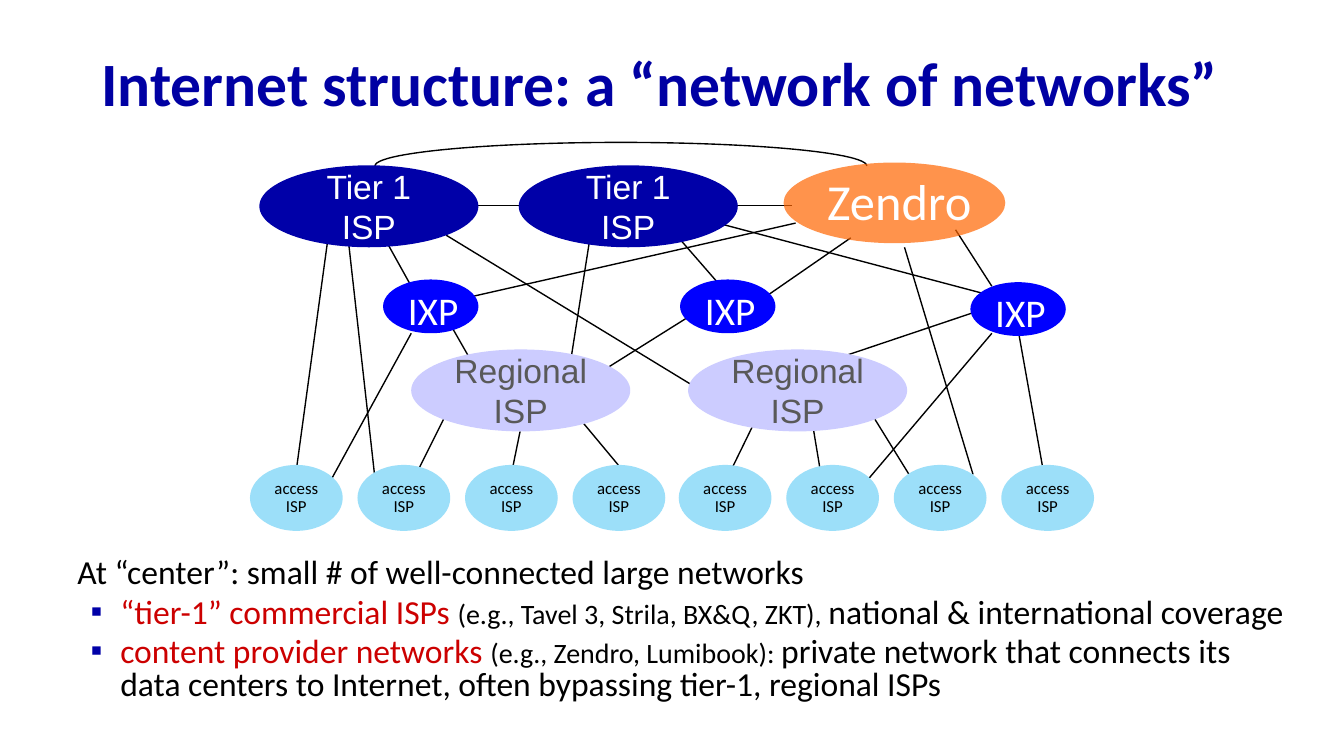
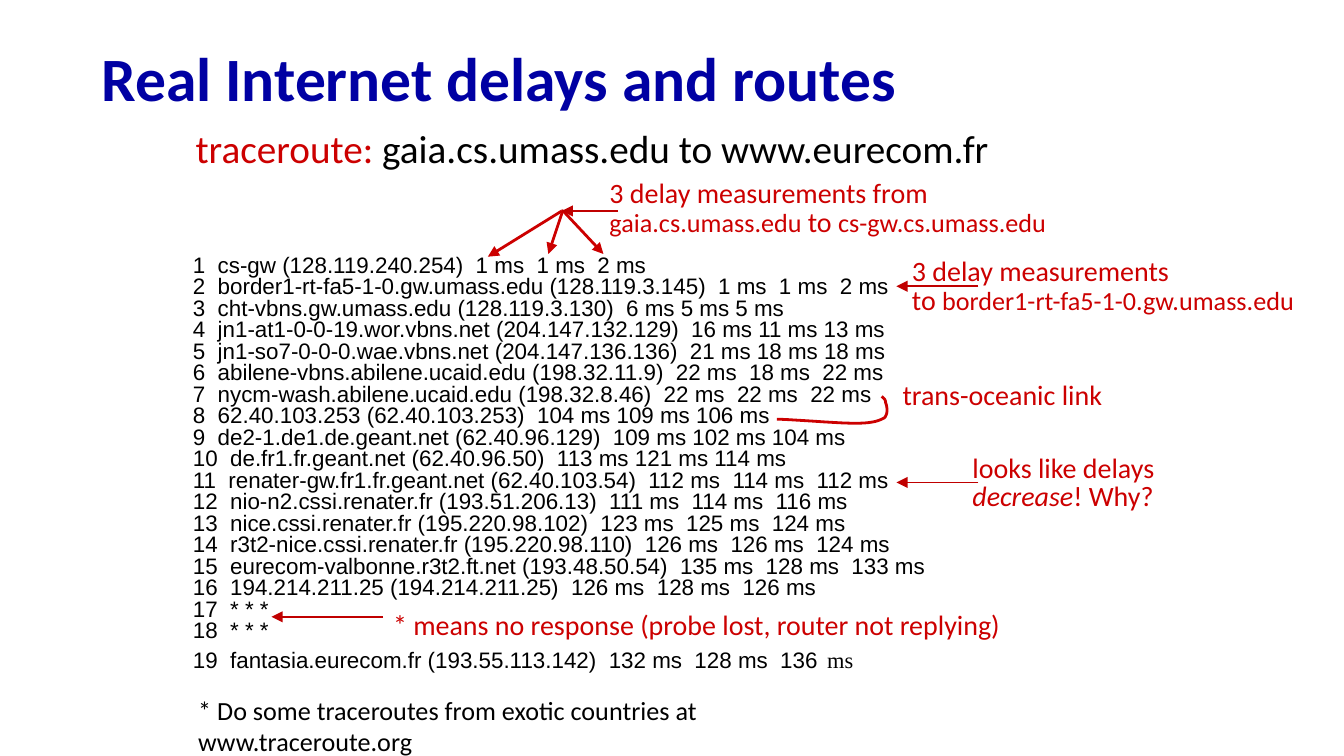
from lxml.etree import SubElement
from pptx import Presentation
from pptx.dml.color import RGBColor
from pptx.enum.shapes import MSO_CONNECTOR, MSO_SHAPE
from pptx.enum.text import MSO_ANCHOR, PP_ALIGN
from pptx.oxml.ns import qn
from pptx.util import Pt

PX = 9144  # EMU per px, 100 px to the inch
SLIDE_WIDTH = 1000
INSET_SIDE, INSET_TOP = Pt(5.4), Pt(2.7)

COLORS = {
    "title": "0000A3", "navy": "0000A8", "blue": "0000FF", "lavender": "CCCCFF",
    "sky": "9CDFF9", "orange": "FF6600", "red": "CC0000", "arrow": "C00000",
    "gray": "595959", "black": "000000", "white": "FFFFFF",
}


def style(size, color="black", name="Calibri", **extra):
    return {"color": color, "format": {"name": name, "size": Pt(size), **extra}}


STYLES = {
    "title": style(33, "title", bold=True),
    "tier": style(18, "white", "Arial"),
    "regional": style(18, "gray", "Arial"),
    "access": style(9),
    "exchange": style(21, "white"),
    "provider": style(27, "white"),
    "body": style(18),
    "term": style(18, "red"),
    "aside": style(15),
    "command": style(21, "red"),
    "route": style(21),
    "hop": style(12, name="Arial"),
    "gap": style(18, name="Times New Roman"),
    "unit": style(12, name="Times New Roman"),
    "note": style(15, "red"),
    "host": style(14, "red"),
    "stress": style(15, "red", italic=True),
    "footnote": style(14),
}

# ---- Slide 1: network of networks ----
STRUCTURE_TITLE = "Internet structure: a “network of networks”"
ISP_SIZE, ACCESS_SIZE, EXCHANGE_SIZE = (163, 61), (69, 49), (71, 40)
ACCESS_COUNT, ACCESS_FIRST, ACCESS_LAST, ACCESS_TOP = 8, 186, 745, 346
ACCESS_SPOTS = [
    (round(ACCESS_FIRST + i * (ACCESS_LAST - ACCESS_FIRST) / (ACCESS_COUNT - 1)), ACCESS_TOP)
    for i in range(ACCESS_COUNT)
]
# (spots, size, fill, text style, lines, line spacing)
NETWORKS = [
    ([(193, 123), (386, 123)], ISP_SIZE, "navy", "tier", ["Tier 1 ISP"], None),
    ([(306, 260), (512, 260)], ISP_SIZE, "lavender", "regional", ["Regional ISP"], None),
    (ACCESS_SPOTS, ACCESS_SIZE, "sky", "access", ["access", "ISP"], 0.9),
]
EXCHANGES = [(285, 208), (506, 208), (722, 210)]
PROVIDER = {"name": "Zendro", "oval": (583, 121, 165, 60), "label": (608, 123, 124, 53)}
PEERING_ARC = (279, 106, 366, 35)
PEERING_ARC_START = 106.82
LINKS = [
    (246, 163, 221, 346), (387, 321, 379, 360), (330, 312, 306, 360),
    (259, 177, 280, 365), (306, 248, 242, 365), (425, 304, 460, 346),
    (562, 313, 539, 360), (605, 318, 612, 360), (651, 312, 685, 367),
    (673, 184, 724, 353), (396, 153, 352, 153), (589, 153, 545, 153),
    (711, 171, 738, 213), (286, 177, 306, 213), (332, 236, 352, 271),
    (592, 166, 332, 225), (505, 177, 539, 216), (439, 177, 425, 266),
    (512, 236, 445, 278), (332, 175, 519, 289), (758, 248, 778, 360),
    (738, 248, 638, 366), (732, 230, 625, 266), (633, 177, 565, 224),
    (534, 166, 734, 219),
]
CENTER_BOX = (44, 412, 925, 150)
CENTER_TEXT = [
    [("At “center”: small # of well-connected large networks", "body")],
    [("“tier-1” commercial ISPs ", "term"),
     ("(e.g., Tavel 3, Strila, BX&Q, ZKT), ", "aside"),
     ("national & international coverage", "body")],
    [("content provider networks ", "term"),
     ("(e.g., Zendro, Lumibook): ", "aside"),
     ("private network that connects its data centers to Internet, "
      "often bypassing tier-1, regional ISPs", "body")],
]

# ---- Slide 2: delays and routes ----
DELAYS_TITLE = "Real Internet delays and routes"
HOPS_BOX = (136, 187, 675, 323)
HOPS = [
    "cs-gw (128.119.240.254)  1 ms  1 ms  2 ms",
    "border1-rt-fa5-1-0.gw.umass.edu (128.119.3.145)  1 ms  1 ms  2 ms",
    "cht-vbns.gw.umass.edu (128.119.3.130)  6 ms 5 ms 5 ms",
    "jn1-at1-0-0-19.wor.vbns.net (204.147.132.129)  16 ms 11 ms 13 ms",
    "jn1-so7-0-0-0.wae.vbns.net (204.147.136.136)  21 ms 18 ms 18 ms",
    "abilene-vbns.abilene.ucaid.edu (198.32.11.9)  22 ms  18 ms  22 ms",
    "nycm-wash.abilene.ucaid.edu (198.32.8.46)  22 ms  22 ms  22 ms",
    "62.40.103.253 (62.40.103.253)  104 ms 109 ms 106 ms",
    "de2-1.de1.de.geant.net (62.40.96.129)  109 ms 102 ms 104 ms",
    "de.fr1.fr.geant.net (62.40.96.50)  113 ms 121 ms 114 ms",
    "renater-gw.fr1.fr.geant.net (62.40.103.54)  112 ms  114 ms  112 ms",
    "nio-n2.cssi.renater.fr (193.51.206.13)  111 ms  114 ms  116 ms",
    "nice.cssi.renater.fr (195.220.98.102)  123 ms  125 ms  124 ms",
    "r3t2-nice.cssi.renater.fr (195.220.98.110)  126 ms  126 ms  124 ms",
    "eurecom-valbonne.r3t2.ft.net (193.48.50.54)  135 ms  128 ms  133 ms",
    "194.214.211.25 (194.214.211.25)  126 ms  128 ms  126 ms",
    "* * *",
    "* * *",
    "fantasia.eurecom.fr (193.55.113.142)  132 ms  128 ms  136",
]
# (box, paragraphs, line spacing)
ANNOTATIONS = [
    ((138, 89, 672, 43),
     [[("traceroute:", "command"), (" gaia.cs.umass.edu to www.eurecom.fr", "route")]], None),
    ((446, 131, 487, 50),
     [[("3 delay measurements from", "note")],
      [("gaia.cs.umass.edu ", "host"), ("to ", "note"), ("cs-gw.cs.umass.edu", "host")]], 0.85),
    ((285, 448, 516, 33),
     [[("* means no response (probe lost, router not replying)", "note")]], None),
    ((664, 277, 225, 33), [[("trans-oceanic link", "note")]], None),
    ((140, 513, 536, 55),
     [[("* Do some traceroutes from exotic countries at www.traceroute.org", "footnote")]], None),
    ((716, 335, 225, 50),
     [[("looks like delays ", "note"), ("decrease", "stress"), ("! Why?", "note")]], 0.85),
    ((671, 189, 335, 50),
     [[("3 delay measurements", "note")],
      [("to ", "note"), ("border1-rt-fa5-1-0.gw.umass.edu", "host")]], 0.85),
]
PROBE_ARROWS = [(418, 157, 363, 191), (419, 156, 408, 189), (419, 157, 449, 189)]
NOTE_ARROWS = [(728, 213, 667, 213), (728, 359, 667, 359),
               (285, 459, 202, 459), (460, 157, 418, 157)]
OCEAN_START = (656, 295)
OCEAN_CURVES = [
    [(657, 296), (659, 297), (659, 300)],
    [(660, 302), (661, 308), (658, 311)],
    [(654, 313), (650, 315), (636, 315)],
    [(623, 315), (588, 312), (578, 312)],
]
CURVE_STEPS = 10


def emu(lengths):
    return [length * PX for length in lengths]


def rgb(color):
    return RGBColor.from_string(COLORS[color])


def write(shape, paragraphs, spacing=None, anchor=MSO_ANCHOR.TOP, align=PP_ALIGN.LEFT, wrap=True):
    """Fill a shape with paragraphs, each a list of (text, style name) runs."""
    frame = shape.text_frame
    settings = {"word_wrap": wrap, "vertical_anchor": anchor, "margin_left": INSET_SIDE,
                "margin_right": INSET_SIDE, "margin_top": INSET_TOP, "margin_bottom": INSET_TOP}
    for attribute, value in settings.items():
        setattr(frame, attribute, value)
    for index, runs in enumerate(paragraphs):
        paragraph = frame.add_paragraph() if index else frame.paragraphs[0]
        paragraph.alignment = align
        if spacing:
            paragraph.line_spacing = spacing
        for text, style_name in runs:
            run = paragraph.add_run()
            run.text = text
            for attribute, value in STYLES[style_name]["format"].items():
                setattr(run.font, attribute, value)
            run.font.color.rgb = rgb(STYLES[style_name]["color"])
    return frame.paragraphs


def add_text(slide, box, paragraphs, **options):
    return write(slide.shapes.add_textbox(*emu(box)), paragraphs, **options)


def indent(paragraph, left, first):
    properties = paragraph._p.get_or_add_pPr()
    properties.set("marL", str(left * PX))
    properties.set("indent", str(first * PX))
    return properties


def add_bullet(paragraph):
    paragraph.level = 1
    paragraph.space_before = Pt(4)
    properties = indent(paragraph, 38, -22)
    bullet_color = SubElement(properties, qn("a:buClr"))
    SubElement(bullet_color, qn("a:srgbClr"), val=COLORS["navy"])
    SubElement(properties, qn("a:buFont"), typeface="Arial")
    SubElement(properties, qn("a:buChar"), char="▪")


def add_oval(slide, box, color):
    oval = slide.shapes.add_shape(MSO_SHAPE.OVAL, *emu(box))
    oval.shadow.inherit = False
    oval.fill.solid()
    oval.fill.fore_color.rgb = rgb(color)
    oval.line.fill.background()
    return oval


def set_outline(shape, color, width):
    shape.line.color.rgb = rgb(color)
    shape.line.width = Pt(width)


def add_line(slide, ends, color="black", width=0.75, arrow=False):
    line = slide.shapes.add_connector(MSO_CONNECTOR.STRAIGHT, *emu(ends))
    set_outline(line, color, width)
    if arrow:
        SubElement(line.line._get_or_add_ln(), qn("a:tailEnd"), type="triangle")
    SubElement(line._element.spPr, qn("a:effectLst"))


def add_open_outline(shape, color, width):
    shape.shadow.inherit = False
    shape.fill.background()
    set_outline(shape, color, width)


def curve_points(start, curves):
    """Sample a chain of cubic Bézier curves."""
    points = []
    for first, second, end in curves:
        for step in range(1, CURVE_STEPS + 1):
            t = step / CURVE_STEPS
            weights = ((1 - t) ** 3, 3 * t * (1 - t) ** 2, 3 * t * t * (1 - t), t ** 3)
            corners = (start, first, second, end)
            points.append(tuple(sum(w * corner[axis] for w, corner in zip(weights, corners)) * PX
                                for axis in (0, 1)))
        start = end
    return points


def add_titled_slide(deck, title, top):
    slide = deck.slides.add_slide(deck.slide_layouts[6])
    add_text(slide, (68, top, 862, 73), [[(title, "title")]],
             spacing=0.9, anchor=MSO_ANCHOR.MIDDLE)
    return slide


def build_structure(deck):
    slide = add_titled_slide(deck, STRUCTURE_TITLE, 28)
    for ends in LINKS:
        add_line(slide, ends)
    arc = slide.shapes.add_shape(MSO_SHAPE.ARC, *emu(PEERING_ARC))
    arc.adjustments[0], arc.adjustments[1] = PEERING_ARC_START, 0
    add_open_outline(arc, "black", 0.75)

    for spots, size, color, style_name, lines, spacing in NETWORKS:
        for spot in spots:
            write(add_oval(slide, spot + size, color), [[(line, style_name)] for line in lines],
                  spacing=spacing, anchor=MSO_ANCHOR.MIDDLE, align=PP_ALIGN.CENTER)
    for left, top in EXCHANGES:
        add_oval(slide, (left, top) + EXCHANGE_SIZE, "blue")
        add_text(slide, (left + 11, top + 1, 53, 43), [[("IXP", "exchange")]], wrap=False)

    center = add_text(slide, CENTER_BOX, CENTER_TEXT, spacing=0.8)
    indent(center[0], 6, 0)
    for paragraph in center[1:]:
        add_bullet(paragraph)

    provider = add_oval(slide, PROVIDER["oval"], "orange")
    tint = provider._element.spPr.find(".//" + qn("a:srgbClr"))
    SubElement(tint, qn("a:alpha"), val="70000")
    add_text(slide, PROVIDER["label"], [[(PROVIDER["name"], "provider")]], wrap=False)


def build_delays(deck):
    slide = add_titled_slide(deck, DELAYS_TITLE, 24)
    hops = [[(f"{number}  {hop}", "hop")] for number, hop in enumerate(HOPS, 1)]
    hops[-1] += [(" ", "gap"), ("ms", "unit")]
    for paragraph in add_text(slide, HOPS_BOX, hops, spacing=0.8):
        indent(paragraph, 38, -38)
    for box, paragraphs, spacing in ANNOTATIONS:
        add_text(slide, box, paragraphs, spacing=spacing)
    for ends in PROBE_ARROWS:
        add_line(slide, ends, "red", 1.5, arrow=True)
    for ends in NOTE_ARROWS:
        add_line(slide, ends, "arrow", 1, arrow=True)

    ocean = slide.shapes.build_freeform(*emu(OCEAN_START))
    ocean.add_line_segments(curve_points(OCEAN_START, OCEAN_CURVES), close=False)
    add_open_outline(ocean.convert_to_shape(), "red", 1.5)


def main():
    deck = Presentation()
    deck.slide_width = SLIDE_WIDTH * PX
    deck.slide_height = deck.slide_width * 9 // 16
    build_structure(deck)
    build_delays(deck)
    deck.save("out.pptx")


if __name__ == "__main__":
    main()
